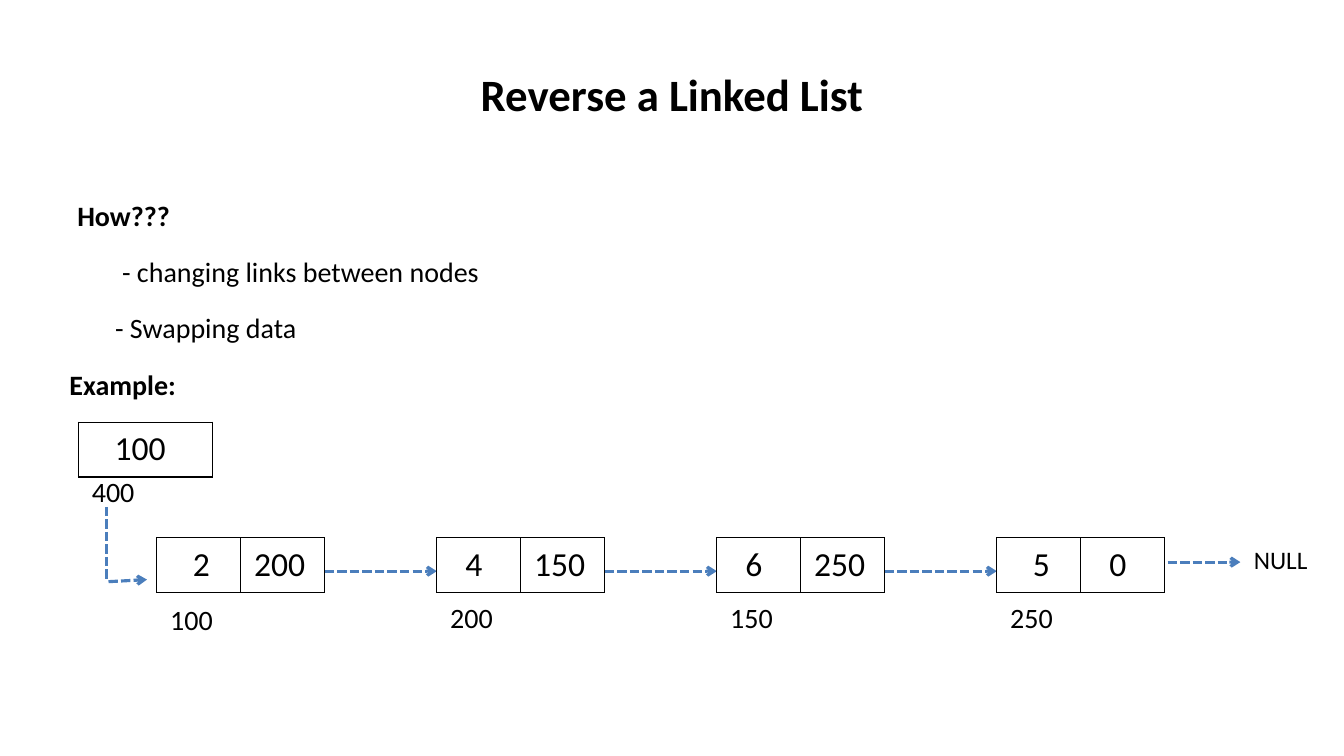
import pptx
import pptx.dml.color
import pptx.enum.dml
import pptx.enum.shapes
import pptx.enum.text
import pptx.oxml
import pptx.oxml.ns
import pptx.util

Pt = pptx.util.Pt
COLORS = {"text": "000000", "border": "000000", "arrow": "4B7EBC"}
INSETS = {"margin_left": Pt(9.6), "margin_right": Pt(9.6),
          "margin_top": Pt(4.8), "margin_bottom": Pt(4.8)}
SPACE = 5.42  # width of one blank at the table text size, in points


def set_attributes(target, values):
    for name, value in values.items():
        setattr(target, name, value)


def add_element(parent, tag, content="", attributes=""):
    namespace = pptx.oxml.ns.nsdecls("a")
    parent.append(pptx.oxml.parse_xml(
        f"<a:{tag} {namespace} {attributes}>{content}</a:{tag}>"))


class SlideBuilder:
    """Draws elements in one style on the current slide; lengths in points."""

    def __init__(self, slide):
        self.slide = slide
        self.font = "Calibri"

    def color(self, name):
        return pptx.dml.color.RGBColor.from_string(COLORS[name])

    def add_span(self, para, text, size, bold=False):
        span = para.add_run()
        span.text = text
        set_attributes(span.font, {"name": self.font, "size": Pt(size), "bold": bold})
        span.font.color.rgb = self.color("text")

    def place(self, shape, left, top, width, height):
        set_attributes(shape, {"left": Pt(left), "top": Pt(top),
                               "width": Pt(width), "height": Pt(height)})

    def title(self, text, *area):
        shape = self.slide.shapes.title
        self.place(shape, *area)
        shape.text_frame.vertical_anchor = pptx.enum.text.MSO_ANCHOR.MIDDLE
        para = shape.text_frame.paragraphs[0]
        para.alignment = pptx.enum.text.PP_ALIGN.CENTER
        self.add_span(para, text, 32, bold=True)

    def body(self, items, *area):
        """Each item is (text, left indent, bold)."""
        shape = self.slide.placeholders[1]
        self.place(shape, *area)
        frame = shape.text_frame
        for index, (text, indent, bold) in enumerate(items):
            para = frame.add_paragraph() if index else frame.paragraphs[0]
            set_attributes(para, {"line_spacing": 1.5,
                                  "space_before": Pt(4 if index else 0)})
            properties = para._p.get_or_add_pPr()
            properties.set("marL", str(Pt(indent)))
            properties.set("indent", "0")
            add_element(properties, "buNone")
            self.add_span(para, text, 20, bold)

    def label(self, text, left, top, width=80, size=20, bold=False):
        box = self.slide.shapes.add_textbox(Pt(left), Pt(top), Pt(width), Pt(34))
        set_attributes(box.text_frame, {**INSETS, "word_wrap": True})
        self.add_span(box.text_frame.paragraphs[0], text, size, bold)

    def cells(self, values, left, top, cell_width):
        """One-row table; each value is (text, blanks of extra left margin)."""
        frame = self.slide.shapes.add_table(
            1, len(values), Pt(left), Pt(top), Pt(cell_width * len(values)), Pt(39.2))
        table = frame.table
        set_attributes(table, {"first_row": False, "horz_banding": False})
        fill = f'<a:solidFill><a:srgbClr val="{COLORS["border"]}"/></a:solidFill>'
        for column, (text, blanks) in enumerate(values):
            cell = table.cell(0, column)
            set_attributes(cell, {**INSETS, "margin_left": Pt(9.6 + blanks * SPACE)})
            properties = cell._tc.get_or_add_tcPr()
            for side in "LRTB":
                add_element(properties, f"ln{side}", fill, f'w="{Pt(1)}"')
            cell.fill.background()
            self.add_span(cell.text_frame.paragraphs[0], text, 24)

    def dashed_line(self, start, end, arrow=True):
        connector = self.slide.shapes.add_connector(
            pptx.enum.shapes.MSO_CONNECTOR.STRAIGHT, *map(Pt, start + end))
        connector.line.color.rgb = self.color("arrow")
        set_attributes(connector.line, {"width": Pt(2.25),
                                        "dash_style": pptx.enum.dml.MSO_LINE.SQUARE_DOT})
        if arrow:
            add_element(connector.get_or_add_ln(), "tailEnd", attributes='type="arrow"')
        add_element(connector._element.spPr, "effectLst")


def main():
    deck = pptx.Presentation()
    set_attributes(deck, {"slide_width": Pt(960), "slide_height": Pt(540)})
    page = SlideBuilder(deck.slides.add_slide(deck.slide_layouts[1]))

    page.title("Reverse a Linked List", 48, 21.6, 864, 90)
    page.body([("How???", 0, True),
               ("- changing links between nodes", 32, False),
               ("- Swapping data", 27, False)], 48, 126, 864, 356.4)
    page.label("Example:", 40, 258, width=232, bold=True)

    # Head pointer and its link to the first node
    page.cells([("100", 3)], 56, 301.6, 96)
    page.label("400", 56, 334)
    page.dashed_line((76, 362), (76, 415.5), arrow=False)
    page.dashed_line((77.5, 415.5), (105, 414))

    # (data, blanks), (link, blanks), address, top of the address
    nodes = [(("2", 3), ("200", 0), "100", 425.5),
             (("4", 2), ("150", 0), "200", 424),
             (("6", 2), ("250", 0), "150", 424),
             (("5", 3), ("0", 2), "250", 424)]
    for index, (data, link, address, address_top) in enumerate(nodes):
        left = 112 + 200 * index
        page.cells([data, link], left, 384, 60)
        page.label(address, left, address_top)
        if index < len(nodes) - 1:
            page.dashed_line((left + 120, 408), (left + 200, 408))
    page.dashed_line((834, 401.5), (886, 401.5))
    page.label("NULL", 886, 384, width=74, size=18)

    deck.save("out.pptx")


if __name__ == "__main__":
    main()
